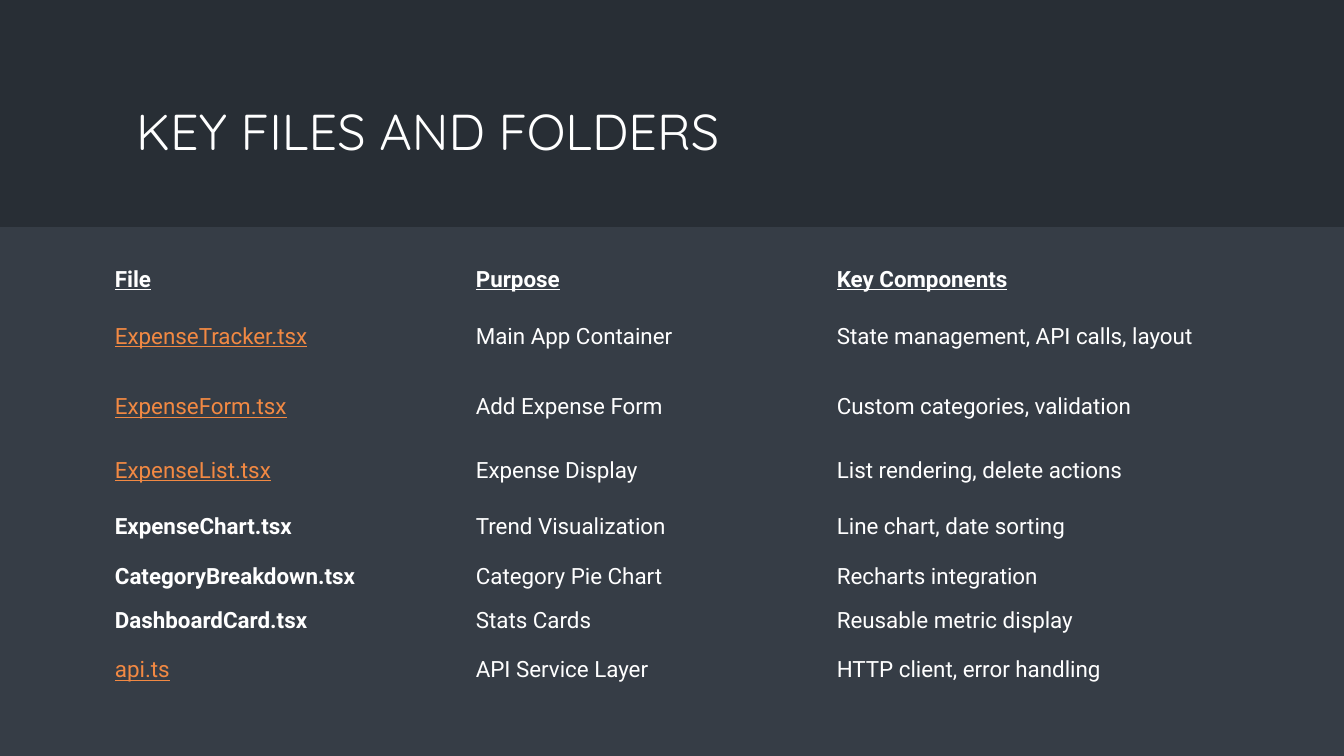
from dataclasses import dataclass

from pptx import Presentation
from pptx.dml.color import RGBColor
from pptx.enum.shapes import MSO_SHAPE as Preset
from pptx.enum.text import MSO_ANCHOR as Anchor, PP_ALIGN as Align
from pptx.oxml.ns import qn
from pptx.util import Inches, Pt

TITLE = "KEY FILES AND FOLDERS"
HEADINGS = ("File", "Purpose", "Key Components")
FILES = [
    ("ExpenseTracker.tsx", "Main App Container", "State management, API calls, layout"),
    ("ExpenseForm.tsx", "Add Expense Form", "Custom categories, validation"),
    ("ExpenseList.tsx", "Expense Display", "List rendering, delete actions"),
    ("ExpenseChart.tsx", "Trend Visualization", "Line chart, date sorting"),
    ("CategoryBreakdown.tsx", "Category Pie Chart", "Recharts integration"),
    ("DashboardCard.tsx", "Stats Cards", "Reusable metric display"),
    ("api.ts", "API Service Layer", "HTTP client, error handling"),
]
LINKED_FILES = {"ExpenseTracker.tsx", "ExpenseForm.tsx", "ExpenseList.tsx", "api.ts"}

WIDTH, HEIGHT = Inches(13.33), Inches(7.5)
BAND_SHARE = 0.3
TITLE_BOX = (1.25, 0.7, 8.42, 1.18)
TABLE_LEFT, TABLE_TOP, COLUMN_WIDTH = 1.12, 2.56, 3.58
ROW_HEIGHTS = (0.43, 0.7, 0.7, 0.56, 0.56, 0.43, 0.43, 0.56)
NO_GRID_STYLE = "{2D5ABB26-0587-4C30-8999-92F81FD0307C}"


@dataclass(frozen=True)
class Theme:
    background: str = "363D46"
    band: str = "282E35"
    text: str = "FFFFFF"
    link: str = "F28943"
    title_font: str = "Quicksand"
    body_font: str = "Roboto"
    title_size: int = 36
    body_size: int = 16


THEME = Theme()


def paint(fill, color):
    fill.solid()
    fill.fore_color.rgb = RGBColor.from_string(color)


def write(frame, text, font=THEME.body_font, size=THEME.body_size,
          color=THEME.text, bold=False, underline=False):
    paragraph = frame.paragraphs[0]
    paragraph.alignment = Align.LEFT
    run = paragraph.add_run()
    run.text = text
    run.font.name = font
    run.font.size = Pt(size)
    run.font.bold = bold
    run.font.underline = underline
    run.font.color.rgb = RGBColor.from_string(color)


def cell_format(row, column, text):
    if row == 0:
        return {"bold": True, "underline": True}
    if text in LINKED_FILES:
        return {"color": THEME.link, "underline": True}
    return {"bold": column == 0}


def add_header(slide):
    title = slide.shapes.title
    band = slide.shapes.add_shape(Preset.RECTANGLE, 0, 0, WIDTH, int(HEIGHT * BAND_SHARE))
    band.shadow.inherit = False
    paint(band.fill, THEME.band)
    band.line.fill.background()
    title.element.addprevious(band.element)
    title.left, title.top, title.width, title.height = map(Inches, TITLE_BOX)
    title.text_frame.vertical_anchor = Anchor.MIDDLE
    write(title.text_frame, TITLE, font=THEME.title_font, size=THEME.title_size)


def add_file_table(slide):
    rows = [HEADINGS, *FILES]
    frame = slide.shapes.add_table(
        len(rows), len(HEADINGS), Inches(TABLE_LEFT), Inches(TABLE_TOP),
        Inches(COLUMN_WIDTH * len(HEADINGS)), Inches(sum(ROW_HEIGHTS)))
    table = frame.table
    table.first_row = table.horz_banding = False
    frame.element.find(".//" + qn("a:tableStyleId")).text = NO_GRID_STYLE
    for column in table.columns:
        column.width = Inches(COLUMN_WIDTH)
    for row, (texts, height) in enumerate(zip(rows, ROW_HEIGHTS)):
        table.rows[row].height = Inches(height)
        for column, text in enumerate(texts):
            cell = table.cell(row, column)
            cell.fill.background()
            cell.vertical_anchor = Anchor.MIDDLE
            cell.margin_left = cell.margin_right = Inches(0.02)
            cell.margin_top = cell.margin_bottom = Inches(0.01)
            write(cell.text_frame, text, **cell_format(row, column, text))


def main():
    presentation = Presentation()
    presentation.slide_width, presentation.slide_height = WIDTH, HEIGHT
    slide = presentation.slides.add_slide(presentation.slide_layouts[5])
    paint(slide.background.fill, THEME.background)
    add_header(slide)
    add_file_table(slide)
    presentation.save("out.pptx")


if __name__ == "__main__":
    main()
